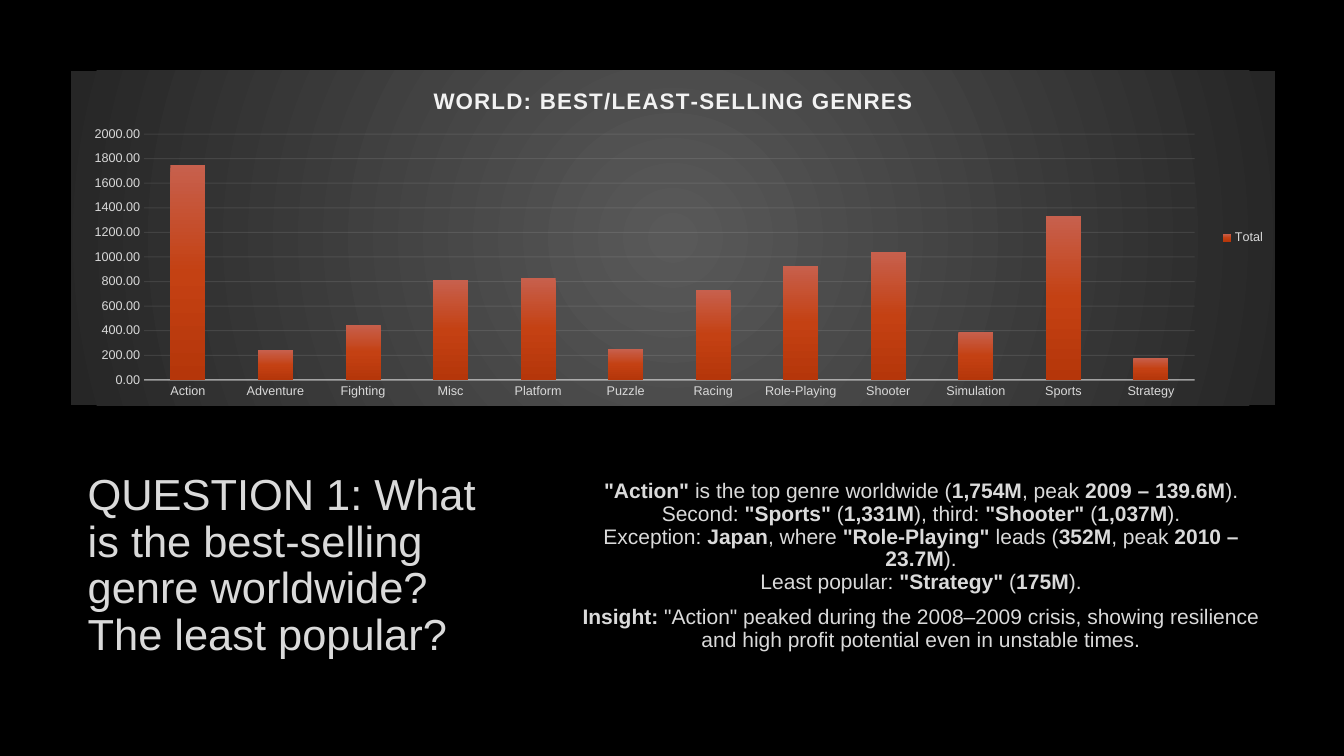
from dataclasses import dataclass

import pptx
import pptx.chart.data
import pptx.dml.color
import pptx.enum.chart
import pptx.enum.text
import pptx.oxml
import pptx.oxml.ns
import pptx.util
from pptx.util import Inches


@dataclass(frozen=True)
class Theme:
    font: str = "Arial"
    background: str = "000000"
    text: str = "DADADA"
    chart_title: str = "F2F2F2"
    chart_label: str = "D9D9D9"
    chart_line: str = "F2F2F2"
    panel_stops: tuple = ((0, "595959"), (100, "262626"))
    bar_stops: tuple = ((0, "C7604D"), (50, "C44113"), (100, "B5360A"))
    title_size: float = 31
    body_size: float = 15
    chart_title_size: float = 16
    label_size: float = 9


RADIAL = ('<a:path path="circle"><a:fillToRect l="50000" t="50000" '
          'r="50000" b="50000"/></a:path>')
DOWNWARD = '<a:lin ang="5400000" scaled="0"/>'


def rgb(color):
    return pptx.dml.color.RGBColor.from_string(color)


def gradient_xml(stops, direction):
    stop_xml = "".join(f'<a:gs pos="{position * 1000}"><a:srgbClr val="{color}"/></a:gs>'
                       for position, color in stops)
    return f"<a:gradFill><a:gsLst>{stop_xml}</a:gsLst>{direction}</a:gradFill>"


def shape_properties(fill_xml):
    namespaces = pptx.oxml.ns.nsdecls("c", "a")
    return pptx.oxml.parse_xml(
        f"<c:spPr {namespaces}>{fill_xml}<a:ln><a:noFill/></a:ln></c:spPr>")


def set_layout(part, chart_size, place, index, target=""):
    """Place a chart part, in inches from the chart's top left corner."""
    for old in part.xpath("c:layout"):
        part.remove(old)
    fractions = "".join(f'<c:{tag} val="{length / chart_size[number % 2]}"/>'
                        for number, (tag, length) in enumerate(zip("xywh", place)))
    part.insert(index, pptx.oxml.parse_xml(
        f'<c:layout {pptx.oxml.ns.nsdecls("c")}><c:manualLayout>{target}'
        f'<c:xMode val="edge"/><c:yMode val="edge"/>{fractions}'
        "</c:manualLayout></c:layout>"))


class SlideBuilder:
    def __init__(self, presentation, theme):
        self.theme = theme
        self.slide = presentation.slides.add_slide(presentation.slide_layouts[1])
        self.slide.background.fill.solid()
        self.slide.background.fill.fore_color.rgb = rgb(theme.background)

    def style(self, font, size, color, bold=False):
        font.name = self.theme.font
        font.size = pptx.util.Pt(size)
        font.color.rgb = rgb(color)
        font.bold = bold

    def place(self, placeholder, box):
        placeholder.left, placeholder.top, placeholder.width, placeholder.height = map(Inches, box)
        frame = placeholder.text_frame
        frame.word_wrap = True
        frame.auto_size = pptx.enum.text.MSO_AUTO_SIZE.NONE
        frame.vertical_anchor = pptx.enum.text.MSO_ANCHOR.MIDDLE
        return frame

    def title(self, text, box):
        frame = self.place(self.slide.shapes.title, box)
        frame.text = text
        heading = frame.paragraphs[0]
        heading.alignment = pptx.enum.text.PP_ALIGN.LEFT
        heading.line_spacing = 0.9
        self.style(heading.runs[0].font, self.theme.title_size, self.theme.text)

    def body(self, paragraphs, box):
        """Each paragraph is a list of lines; ** switches bold on and off."""
        frame = self.place(self.slide.placeholders[1], box)
        for index, lines in enumerate(paragraphs):
            paragraph = frame.paragraphs[0] if index == 0 else frame.add_paragraph()
            paragraph.alignment = pptx.enum.text.PP_ALIGN.CENTER
            paragraph.line_spacing = 0.9
            paragraph.space_before = pptx.util.Pt(3)
            paragraph.space_after = pptx.util.Pt(6)
            for line_number, line in enumerate(lines):
                if line_number:
                    paragraph.add_line_break()
                for part, words in enumerate(line.split("**")):
                    if words:
                        run = paragraph.add_run()
                        run.text = words
                        self.style(run.font, self.theme.body_size, self.theme.text, part % 2 == 1)
            # No bullet and no hanging indent
            properties = paragraph._p.get_or_add_pPr()
            properties.set("marL", "0")
            properties.set("indent", "0")
            properties.append(pptx.oxml.parse_xml(
                f'<a:buNone {pptx.oxml.ns.nsdecls("a")}/>'))

    def column_chart(self, heading, series_name, sales, box):
        theme, kinds = self.theme, pptx.enum.chart
        data = pptx.chart.data.CategoryChartData(number_format="0.00")
        data.categories = list(sales)
        data.add_series(series_name, list(sales.values()))
        chart = self.slide.shapes.add_chart(
            kinds.XL_CHART_TYPE.COLUMN_STACKED, *map(Inches, box), data).chart
        self.style(chart.font, theme.label_size, theme.chart_label)

        # Heading and legend
        chart.has_title = True
        chart.chart_title.text_frame.text = heading
        heading_run = chart.chart_title.text_frame.paragraphs[0].runs[0]
        self.style(heading_run.font, theme.chart_title_size, theme.chart_title, True)
        heading_run._r.get_or_add_rPr().set("spc", "100")
        chart.has_legend = True
        chart.legend.position = kinds.XL_LEGEND_POSITION.RIGHT
        chart.legend.include_in_layout = False
        self.style(chart.legend.font, theme.label_size, theme.chart_label)

        # Axes and gridlines
        genre_axis, sales_axis = chart.category_axis, chart.value_axis
        for axis in (genre_axis, sales_axis):
            axis.major_tick_mark = axis.minor_tick_mark = kinds.XL_TICK_MARK.NONE
            self.style(axis.tick_labels.font, theme.label_size, theme.chart_label)
        sales_axis.minimum_scale, sales_axis.maximum_scale = 0, 2000
        sales_axis.major_unit = 200
        sales_axis.tick_labels.number_format = "0.00"
        sales_axis.tick_labels.number_format_is_linked = False
        sales_axis.format.line.fill.background()
        for line, width, opacity, location in (
                (genre_axis.format.line, 1, 54, "//c:catAx/c:spPr"),
                (sales_axis.major_gridlines.format.line, 0.75, 10, "//c:majorGridlines")):
            line.width = pptx.util.Pt(width)
            line.color.rgb = rgb(theme.chart_line)
            for color in chart.element.xpath(f"{location}//a:srgbClr"):
                color.append(pptx.oxml.parse_xml(
                    f'<a:alpha {pptx.oxml.ns.nsdecls("a")} val="{opacity * 1000}"/>'))

        # Bars and panel
        plot = chart.plots[0]
        plot.gap_width, plot.overlap, plot.vary_by_categories = 150, 100, False
        plot.series[0].format.fill.solid()
        bar_properties = chart.element.xpath("//c:ser/c:spPr")[0]
        bar_properties.getparent().replace(
            bar_properties, shape_properties(gradient_xml(theme.bar_stops, DOWNWARD)))
        chart.element.xpath("c:chart")[0].addnext(
            shape_properties(gradient_xml(theme.panel_stops, RADIAL)))

        # Positions inside the panel
        chart_size = box[2:]
        set_layout(chart.element.xpath("//c:plotArea")[0], chart_size,
                   (0.73, 0.63, 10.42, 2.44), 0, '<c:layoutTarget val="inner"/>')
        set_layout(chart.element.xpath("c:chart/c:title")[0], chart_size, (3.56, 0.12), 1)


def main():
    presentation = pptx.Presentation()
    presentation.slide_width, presentation.slide_height = Inches(13.33), Inches(7.5)
    builder = SlideBuilder(presentation, Theme())

    # Sales by genre, in millions
    genre_sales = {
        "Action": 1750, "Adventure": 240, "Fighting": 450, "Misc": 810,
        "Platform": 830, "Puzzle": 250, "Racing": 730, "Role-Playing": 930,
        "Shooter": 1040, "Simulation": 390, "Sports": 1330, "Strategy": 180,
    }
    builder.column_chart("WORLD: BEST/LEAST-SELLING GENRES", "Total", genre_sales,
                         (0.7, 0.7, 11.95, 3.32))

    # Question and answer
    builder.title("QUESTION 1: What is the best-selling genre worldwide? The least popular?",
                  (0.77, 4.61, 4.32, 2.02))
    ranking = [
        '**"Action"** is the top genre worldwide (**1,754M**, peak **2009 – 139.6M**).',
        'Second: **"Sports"** (**1,331M**), third: **"Shooter"** (**1,037M**).',
        'Exception: **Japan**, where **"Role-Playing"** leads (**352M**, peak **2010 – 23.7M**).',
        'Least popular: **"Strategy"** (**175M**).',
    ]
    insight = ['**Insight:** "Action" peaked during the 2008–2009 crisis, showing resilience '
               "and high profit potential even in unstable times."]
    builder.body([ranking, insight], (5.62, 4.61, 7.03, 2.02))

    presentation.save("out.pptx")


if __name__ == "__main__":
    main()
